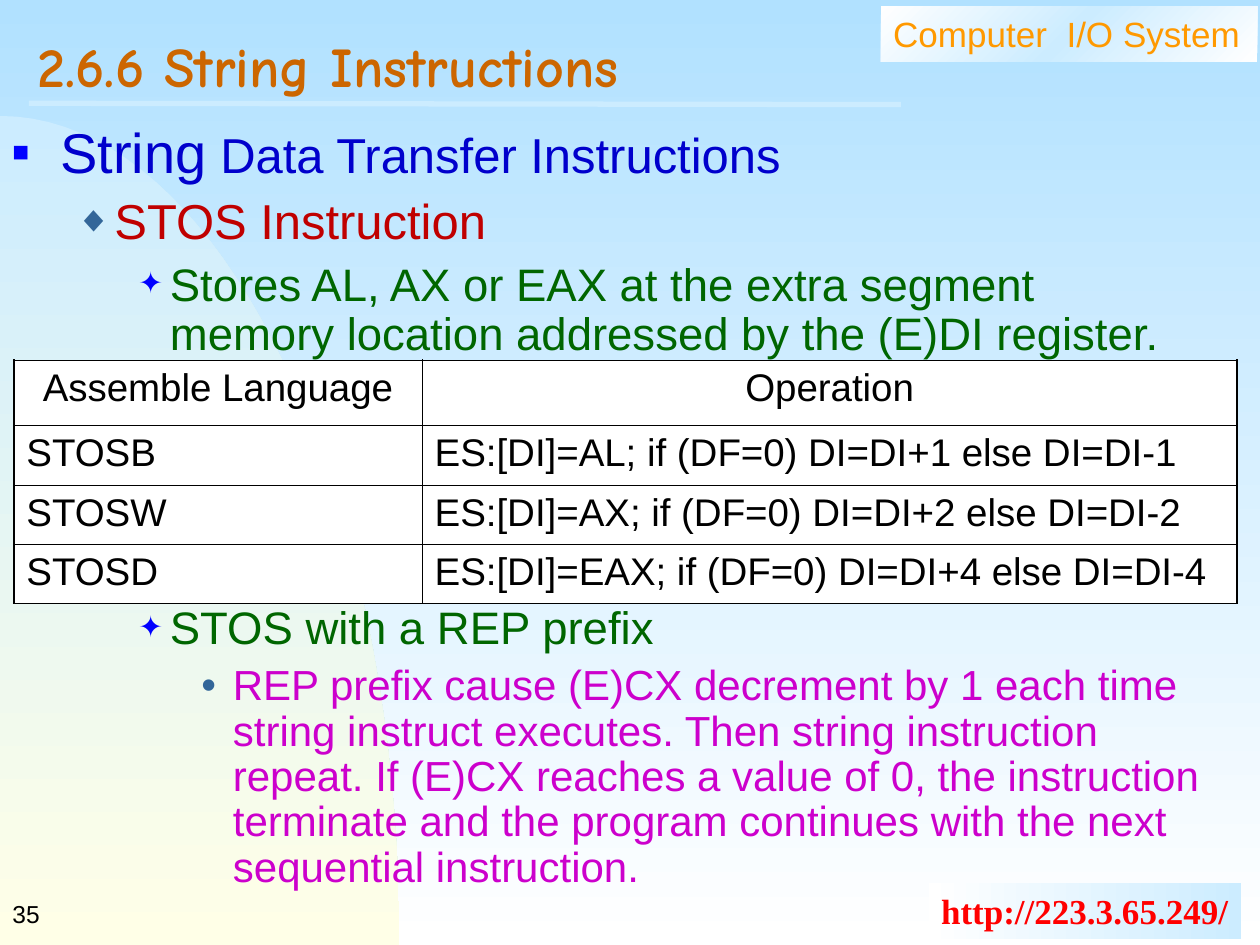
from copy import deepcopy

from lxml import etree
from pptx import Presentation
from pptx.dml.color import RGBColor
from pptx.enum.shapes import MSO_CONNECTOR, MSO_SHAPE
from pptx.enum.text import MSO_ANCHOR, PP_ALIGN
from pptx.oxml.ns import qn
from pptx.util import Inches, Pt

RECTANGLE = MSO_SHAPE.RECTANGLE
STRAIGHT = MSO_CONNECTOR.STRAIGHT
TOP, MIDDLE = MSO_ANCHOR.TOP, MSO_ANCHOR.MIDDLE
LEFT, CENTER = PP_ALIGN.LEFT, PP_ALIGN.CENTER

BLACK = RGBColor(0x00, 0x00, 0x00)
WHITE = RGBColor(0xFF, 0xFF, 0xFF)
SKY = RGBColor(0xB1, 0xE1, 0xFF)
PALE_BLUE = RGBColor(0xCC, 0xEC, 0xFF)
CREAM = RGBColor(0xFF, 0xFF, 0xE7)
ORANGE = RGBColor(0xFF, 0x99, 0x00)
BROWN = RGBColor(0xCC, 0x66, 0x00)
RED = RGBColor(0xFF, 0x00, 0x00)
DARK_RED = RGBColor(0xC0, 0x00, 0x00)
BLUE = RGBColor(0x00, 0x00, 0xFF)
DARK_BLUE = RGBColor(0x00, 0x00, 0xCC)
STEEL = RGBColor(0x33, 0x66, 0x99)
GREEN = RGBColor(0x00, 0x66, 0x00)
MAGENTA = RGBColor(0xCC, 0x00, 0xCC)

# Per level: indent, hanging, bullet, bullet colour, bullet size in percent
LEVELS = [
    (0.38, 0.38, "■", BLUE, 50),
    (0.81, 0.31, "◆", STEEL, 75),
    (1.25, 0.25, "✦", BLUE, 65),
    (1.75, 0.25, "•", STEEL, 100),
]
TABLE_GAP = 140  # points left free in the outline for the table

# Per paragraph: level, space before, spans of (text, size, colour)
OUTLINE = [
    (0, 0, [("String", 32, DARK_BLUE), (" Data Transfer Instructions", 28, DARK_BLUE)]),
    (1, 7, [("STOS Instruction", 28, DARK_RED)]),
    (2, 6.5, [("Stores AL, AX or EAX at the extra segment memory location "
               "addressed by the (E)DI register.", 26, GREEN)]),
    (2, TABLE_GAP, [("STOS with a REP prefix", 26, GREEN)]),
    (3, 6, [("REP prefix cause (E)CX decrement by 1 each time string instruct "
             "executes. Then string instruction repeat. If (E)CX reaches a value "
             "of 0, the instruction terminate and the program continues with the "
             "next sequential instruction.", 24, MAGENTA)]),
]
OPERATIONS = [
    ("Assemble Language", "Operation"),
    ("STOSB", "ES:[DI]=AL; if (DF=0) DI=DI+1 else DI=DI-1"),
    ("STOSW", "ES:[DI]=AX; if (DF=0) DI=DI+2 else DI=DI-2"),
    ("STOSD", "ES:[DI]=EAX; if (DF=0) DI=DI+4 else DI=DI-4"),
]


def add_span(para, text, size=20, color=BLACK, font="Arial", bold=False, spacing=0):
    span = para.add_run()
    span.text = text
    span.font.size = Pt(size)
    span.font.name = font
    span.font.bold = bold
    span.font.color.rgb = color
    if spacing:
        span.font._element.set("spc", str(round(spacing * 100)))


def add_text(page, box, text, anchor=TOP, wrap=True, line_spacing=1.0, **style):
    shape = page.shapes.add_textbox(*map(Inches, box))
    frame = shape.text_frame
    frame.word_wrap = wrap
    frame.vertical_anchor = anchor
    para = frame.paragraphs[0]
    para.line_spacing = line_spacing
    add_span(para, text, **style)
    return shape


def set_gradient(fill, element, colors, angle):
    """Spread the colours evenly; the angle runs clockwise."""
    fill.gradient()
    fill.gradient_angle = -angle % 360
    stop_list = element.find(".//" + qn("a:gsLst"))
    while len(stop_list) < len(colors):
        stop_list.append(deepcopy(stop_list[-1]))
    for index, (stop, color) in enumerate(zip(fill.gradient_stops, colors)):
        stop.color.rgb = color
        stop.position = index / (len(colors) - 1)


def add_backdrop(page, box):
    """Sky gradient with a curved hill in the lower left."""
    set_gradient(page.background.fill, page._element, [SKY, WHITE], 90)
    left, top, width, height = box
    curve = [(0, 0), (0.55, 0), (1, 0.45), (1, 1)]
    steps = 40
    points = []
    for step in range(steps + 1):
        t = step / steps
        weights = ((1 - t) ** 3, 3 * t * (1 - t) ** 2, 3 * t * t * (1 - t), t ** 3)
        x, y = (sum(w * point[axis] for w, point in zip(weights, curve)) for axis in (0, 1))
        points.append((Inches(left + x * width), Inches(top + y * height)))
    points.append((Inches(left), Inches(top + height)))
    builder = page.shapes.build_freeform(*points[0])
    builder.add_line_segments(points[1:], close=True)
    hill = builder.convert_to_shape()
    hill.shadow.inherit = False
    hill.line.fill.background()
    set_gradient(hill.fill, hill._element, [PALE_BLUE, CREAM], 90)


def add_banner(page, box, colors, angle, spans, wrap=True):
    banner = page.shapes.add_shape(RECTANGLE, *map(Inches, box))
    banner.shadow.inherit = False
    banner.line.fill.background()
    set_gradient(banner.fill, banner._element, colors, angle)
    frame = banner.text_frame
    frame.word_wrap = wrap
    frame.vertical_anchor = TOP
    para = frame.paragraphs[0]
    para.alignment = LEFT
    for text, style in spans:
        add_span(para, text, **style)


def add_heading(page, box, text):
    """Title with its rule below."""
    rule = page.shapes.add_connector(
        STRAIGHT, Inches(0.23), Inches(0.82), Inches(7.15), Inches(0.83))
    rule.line.color.rgb = PALE_BLUE
    rule.line.width = Pt(3)
    etree.SubElement(rule._element.spPr, qn("a:effectLst"))
    add_text(page, box, text, anchor=MIDDLE, line_spacing=0.7,
             size=32, font="Comic Neue", color=BROWN, bold=True)


def set_bullet(para, level):
    indent, hanging, symbol, color, percent = LEVELS[level]
    para.level = level
    props = para._p.get_or_add_pPr()
    props.set("marL", str(Inches(indent)))
    props.set("indent", str(-Inches(hanging)))
    bullet_color = etree.SubElement(props, qn("a:buClr"))
    etree.SubElement(bullet_color, qn("a:srgbClr"), val=str(color))
    etree.SubElement(props, qn("a:buSzPct"), val=str(percent * 1000))
    etree.SubElement(props, qn("a:buFont"), typeface="Arial")
    etree.SubElement(props, qn("a:buChar"), char=symbol)


def add_outline(page, box, outline):
    frame = page.shapes.add_textbox(*map(Inches, box)).text_frame
    frame.word_wrap = True
    for index, (level, space, spans) in enumerate(outline):
        para = frame.add_paragraph() if index else frame.paragraphs[0]
        set_bullet(para, level)
        para.line_spacing = 0.9
        para.space_before = Pt(space)
        for text, size, color in spans:
            add_span(para, text, size=size, color=color)


def set_borders(cell, outer_sides):
    """Thick lines on the outer sides, thin lines elsewhere."""
    props = cell._tc.get_or_add_tcPr()
    for index, side in enumerate("LRTB"):
        width = Pt(1.08 if side in outer_sides else 0.45)
        line = etree.Element(qn(f"a:ln{side}"), w=str(width))
        fill = etree.SubElement(line, qn("a:solidFill"))
        etree.SubElement(fill, qn("a:srgbClr"), val=str(BLACK))
        props.insert(index, line)


def add_operations(page, box, rows):
    table = page.shapes.add_table(len(rows), 2, *map(Inches, box)).table
    for column, width in zip(table.columns, (3.24, 6.47)):
        column.width = Inches(width)
    for y, texts in enumerate(rows):
        table.rows[y].height = Inches(0.47 if y else 0.52)
        for x, text in enumerate(texts):
            cell = table.cell(y, x)
            cell.fill.solid()
            cell.fill.fore_color.rgb = WHITE
            sides = "R" if x else "L"
            sides += {0: "T", len(rows) - 1: "B"}.get(y, "")
            set_borders(cell, sides)
            para = cell.text_frame.paragraphs[0]
            para.alignment = LEFT if y else CENTER
            add_span(para, text, size=22)


def main():
    deck = Presentation()
    deck.slide_width, deck.slide_height = Inches(10), Inches(7.5)
    page = deck.slides.add_slide(deck.slide_layouts[6])
    add_backdrop(page, (0, 0.92, 3.17, 6.58))
    # Course name and address
    amber = {"color": ORANGE}
    add_banner(page, (6.99, 0.05, 2.99, 0.44), [WHITE, PALE_BLUE, WHITE], 45,
               [("Computer", amber), (" ", {"spacing": 5.56}), ("I/O System", amber)])
    add_banner(page, (7.37, 7.01, 2.48, 0.44), [WHITE, PALE_BLUE], 0,
               [("http://223.3.65.249/",
                 {"font": "Times New Roman", "color": RED, "bold": True})], wrap=False)
    # Page number
    add_text(page, (0, 7, 2.08, 0.5), "35", anchor=MIDDLE, size=14)
    add_heading(page, (0.2, 0.2, 9.55, 0.77), "2.6.6 String Instructions")
    add_operations(page, (0.11, 2.86, 9.71, 1.93), OPERATIONS)
    add_outline(page, (0, 0.94, 9.65, 6.38), OUTLINE)
    deck.save("out.pptx")


if __name__ == "__main__":
    main()
